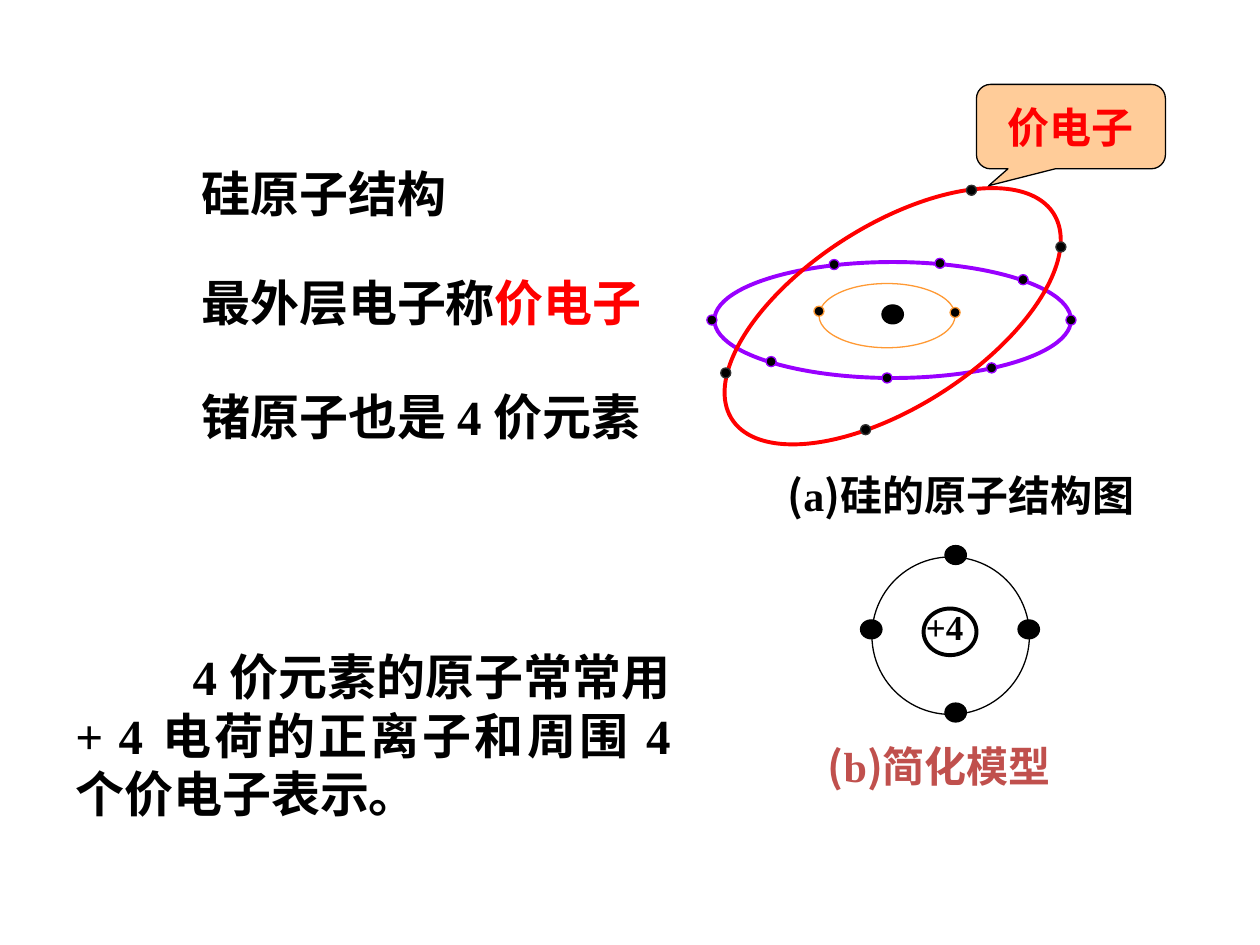
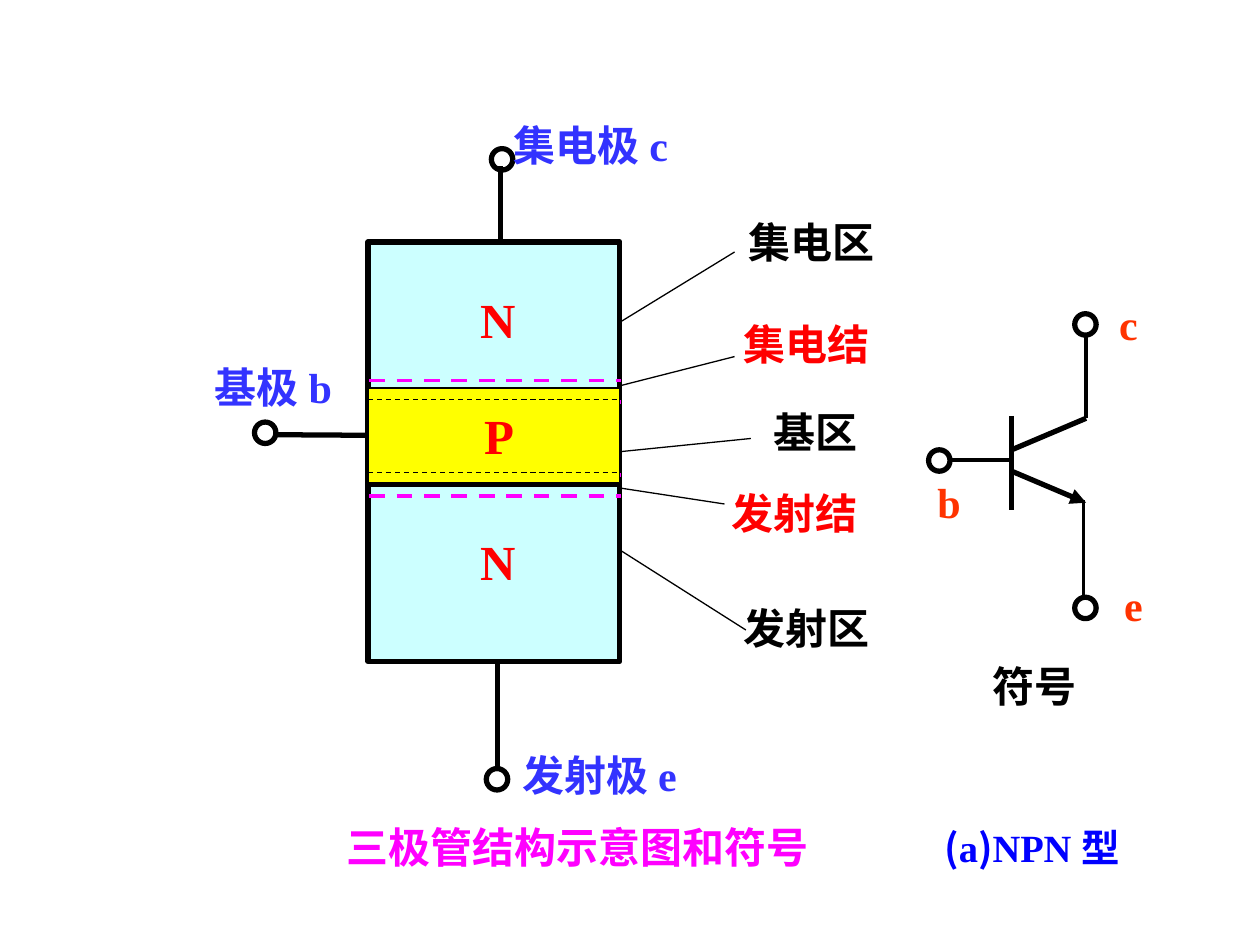
"""Build two slides: the silicon atom structure and the NPN transistor structure."""
from lxml import etree
from pptx import Presentation
from pptx.dml.color import RGBColor
from pptx.enum.dml import MSO_LINE
from pptx.enum.shapes import MSO_CONNECTOR, MSO_SHAPE
from pptx.enum.text import MSO_ANCHOR, PP_ALIGN
from pptx.oxml.ns import qn
from pptx.util import Inches, Pt

LEFT, CENTER, JUSTIFY = PP_ALIGN.LEFT, PP_ALIGN.CENTER, PP_ALIGN.JUSTIFY
MIDDLE = MSO_ANCHOR.MIDDLE
OVAL, RECT = MSO_SHAPE.OVAL, MSO_SHAPE.RECTANGLE
CALLOUT = MSO_SHAPE.ROUNDED_RECTANGULAR_CALLOUT
STRAIGHT, DASH = MSO_CONNECTOR.STRAIGHT, MSO_LINE.DASH
LATIN, CJK = "Times New Roman", "Noto Sans CJK SC"

COLORS = {
    "black": "000000", "red": "FF0000", "brick": "C0504D", "orange": "FF9933",
    "purple": "9900FF", "gray": "333333", "peach": "FFCC99", "magenta": "FF00FF",
    "blue": "0000FF", "indigo": "3333FF", "scarlet": "FF3300",
    "cyan": "CCFFFF", "yellow": "FFFF00",
}

ATOM_NOTES = [
    ([("硅原子结构", "black")], (1.5, 1.25, 3.17, 0.57)),
    ([("最外层电子称", "black"), ("价电子", "red")], (1.5, 2.11, 3.83, 0.57)),
    ([("锗原子也是 4 价元素", "black")], (1.5, 3.02, 4.08, 0.57)),
]
ION_NOTE = "4 价元素的原子常常用+ 4 电荷的正离子和周围 4个价电子表示。"
ATOM_CAPTIONS = [
    ("a", "硅的原子结构图", "black", (6, 3.68, 3.25, 0.5)),
    ("b", "简化模型", "brick", (6.33, 5.83, 2.25, 0.5)),
]
ORBITS = [
    {"box": (6.5, 2.25, 1.08, 0.51), "rotation": 0, "color": "orange", "width": 0.75,
     "rim": "orange", "electrons": [(6.46, 2.43), (7.54, 2.44)]},
    {"box": (5.67, 2.08, 2.83, 0.92), "rotation": 0, "color": "purple", "width": 2.25,
     "rim": "purple", "electrons": [(7.42, 2.05), (8.46, 2.5), (5.61, 2.5), (7, 2.96),
                                    (7.83, 2.88), (6.58, 2.06), (8.08, 2.18), (6.08, 2.83)]},
    {"box": (5.57, 1.79, 3.03, 1.44), "rotation": 327.4, "color": "red", "width": 2.25,
     "rim": "gray", "electrons": [(5.72, 2.92), (8.38, 1.92), (7.67, 1.47), (6.83, 3.37)]},
]
NUCLEUS = (7, 2.42)
MODEL_ELECTRONS = [(7.5, 4.33), (6.83, 4.92), (7.5, 5.58), (8.08, 4.92)]

LAYER_LEFT, LAYER_WIDTH = 2.92, 2
BODY = (LAYER_LEFT, 1.92, LAYER_WIDTH, 3.33)
BASE = (LAYER_LEFT, 3.08, LAYER_WIDTH, 0.75)
JUNCTIONS = [3.1, 3.85]
DEPLETION_EDGES = [3.02, 3.77, 3.94, 3.19]
BASE_EDGES = [3.17, 3.75]
LAYER_NAMES = [("N", (3.71, 2.25, 0.48, 0.57)), ("N", (3.71, 4.17, 0.48, 0.57)),
               ("P", (3.74, 3.17, 0.44, 0.57))]
LABELS = [
    ("集电区", "black", (5.74, 1.67, 1.4, 0.5)),
    ("集电结", "red", (5.7, 2.48, 1.4, 0.5)),
    ("基区", "black", (5.97, 3.18, 1, 0.5)),
    ("发射结", "red", (5.61, 3.82, 1.4, 0.5)),
    ("发射区", "black", (5.7, 4.73, 1.4, 0.5)),
    ("集电极 c", "indigo", (3.84, 0.9, 1.7, 0.5)),
    ("基极 b", "indigo", (1.47, 2.82, 1.4, 0.5)),
    ("发射极 e", "indigo", (3.91, 5.9, 1.7, 0.5)),
    ("c", "scarlet", (8.66, 2.32, 0.59, 0.5)),
    ("b", "scarlet", (7.34, 3.73, 0.38, 0.5)),
    ("e", "scarlet", (8.82, 4.55, 0.35, 0.5)),
    ("符号", "black", (7.71, 5.19, 1, 0.5)),
    ("三极管结构示意图和符号", "magenta", (2.5, 6.47, 4.16, 0.5)),
]
LEADERS = [
    ((4.85, 2.6), (5.83, 2)), ((4.77, 3.1), (5.83, 2.83)), ((4.77, 3.6), (5.96, 3.48)),
    ((4.77, 3.85), (5.75, 4)), ((4.77, 4.27), (5.92, 5)),
]
TERMINALS = [(2.02, 3.35), (3.9, 1.18), (3.86, 6.1), (7.37, 3.57), (8.53, 2.49), (8.53, 4.74)]
WIRES = [
    ((3.97, 1.9), (3.97, 1.32), 3), ((3.95, 5.27), (3.95, 6.1), 3),
    ((8.03, 3.3), (8.03, 4.05), 3), ((8.03, 3.57), (8.62, 3.32), 3),
    ((8.03, 3.65), (7.53, 3.65), 2), ((8.62, 3.32), (8.62, 2.65), 2),
    ((8.6, 3.97), (8.6, 4.72), 2),
]
BASE_WIRE = ((2.92, 3.45), (2.18, 3.45))
SYMBOL_EMITTER = ((8.03, 3.74), (8.62, 3.99))


def rgb(name):
    return RGBColor.from_string(COLORS[name])


def set_font(font, props, size, color, latin=LATIN):
    font.size, font.bold, font.name = Pt(size), True, latin
    font.color.rgb = rgb(color)
    etree.SubElement(props(), qn("a:ea")).set("typeface", CJK)


def write(tf, runs, size, align):
    """Fill a text frame with (text, color[, latin font]) runs."""
    p = tf.paragraphs[0]
    p.alignment = align
    for text, *_ in runs:
        p.add_run().text = text
    if len({tuple(style) for _, *style in runs}) == 1:
        set_font(p.font, lambda: p._p.pPr.defRPr, size, *runs[0][1:])
    else:
        for r, (_, *style) in zip(p.runs, runs):
            set_font(r.font, lambda: r._r.rPr, size, *style)
    return p


def add_text(s, runs, box, size=24, align=CENTER, wrap=False):
    tf = s.shapes.add_textbox(*map(Inches, box)).text_frame
    tf.word_wrap = wrap
    tf.vertical_anchor = MIDDLE
    return write(tf, runs, size, align)


def add_caption(s, letter, text, color, box, size=24):
    runs = [("(", color, CJK), (letter, color, LATIN), (")", color, CJK), (text, color, LATIN)]
    add_text(s, runs, box, size)


def add_shape(s, kind, box, fill=None, line="black", width=0.75):
    sp = s.shapes.add_shape(kind, *map(Inches, box))
    sp.shadow.inherit = False
    if fill:
        sp.fill.solid()
        sp.fill.fore_color.rgb = rgb(fill)
    else:
        sp.fill.background()
    sp.line.color.rgb = rgb(line)
    sp.line.width = Pt(width)
    return sp


def add_line(s, start, end, width=0.75, color="black", dash=None):
    ln = s.shapes.add_connector(STRAIGHT, *map(Inches, (*start, *end)))
    ln.line.color.rgb = rgb(color)
    ln.line.width = Pt(width)
    if dash:
        ln.line.dash_style = dash
    etree.SubElement(ln._element.spPr, qn("a:effectLst"))
    return ln


def add_layer_lines(s, levels, left=LAYER_LEFT, **style):
    for y in levels:
        add_line(s, (left, y), (left + LAYER_WIDTH, y), **style)


def build_atom(s):
    for runs, box in ATOM_NOTES:
        add_text(s, runs, box, 28, LEFT, True)
    p = add_text(s, [(ION_NOTE, "black")], (0.5, 5.08, 4.92, 1.5), 28, JUSTIFY, True)
    p._p.pPr.set("indent", str(Inches(0.93)))
    for caption in ATOM_CAPTIONS:
        add_caption(s, *caption)

    add_shape(s, OVAL, (*NUCLEUS, 0.17, 0.15), "black")
    for orbit in ORBITS:
        sp = add_shape(s, OVAL, orbit["box"], None, orbit["color"], orbit["width"])
        sp.rotation = orbit["rotation"]
        for at in orbit["electrons"]:
            add_shape(s, OVAL, (*at, 0.08, 0.08), "black", orbit["rim"])

    callout = add_shape(s, CALLOUT, (7.75, 0.67, 1.5, 0.67), "peach")
    for i, value in enumerate((-0.435, 0.7, 0.167)):
        callout.adjustments[i] = value
    callout.text_frame.vertical_anchor = MIDDLE
    write(callout.text_frame, [("价电子", "red")], 24, CENTER)

    add_shape(s, OVAL, (7.33, 4.83, 0.42, 0.37), width=2.25)
    add_text(s, [("+4", "black")], (7.25, 4.75, 1, 0.44), 20, LEFT, True)
    add_shape(s, OVAL, (6.92, 4.42, 1.25, 1.25))
    for at in MODEL_ELECTRONS:
        add_shape(s, OVAL, (*at, 0.17, 0.15), "black")


def build_transistor(s):
    for start, end in LEADERS:
        add_line(s, start, end)
    add_shape(s, RECT, BODY, "cyan", width=3)
    add_layer_lines(s, JUNCTIONS, width=2.25)
    add_layer_lines(s, DEPLETION_EDGES, left=2.93, width=2.25, color="magenta", dash=DASH)
    base = add_shape(s, RECT, BASE, "yellow")
    add_layer_lines(s, BASE_EDGES, dash=DASH)

    add_line(s, *BASE_WIRE, 3).begin_connect(base, 1)
    for start, end, width in WIRES:
        add_line(s, start, end, width)
    emitter = add_line(s, *SYMBOL_EMITTER, 3)
    etree.SubElement(emitter._element.spPr.ln, qn("a:tailEnd")).set("type", "triangle")
    for at in TERMINALS:
        add_shape(s, OVAL, (*at, 0.17, 0.17), width=3)

    for name, box in LAYER_NAMES:
        add_text(s, [(name, "red")], box, 28)
    for text, color, box in LABELS:
        add_text(s, [(text, color)], box)
    add_caption(s, "a", "NPN 型", "blue", (7.2, 6.47, 1.98, 0.5), 22)


def main():
    prs = Presentation()
    prs.slide_width, prs.slide_height = Inches(10), Inches(7.5)
    for build in (build_atom, build_transistor):
        build(prs.slides.add_slide(prs.slide_layouts[6]))
    prs.save("out.pptx")


if __name__ == "__main__":
    main()
